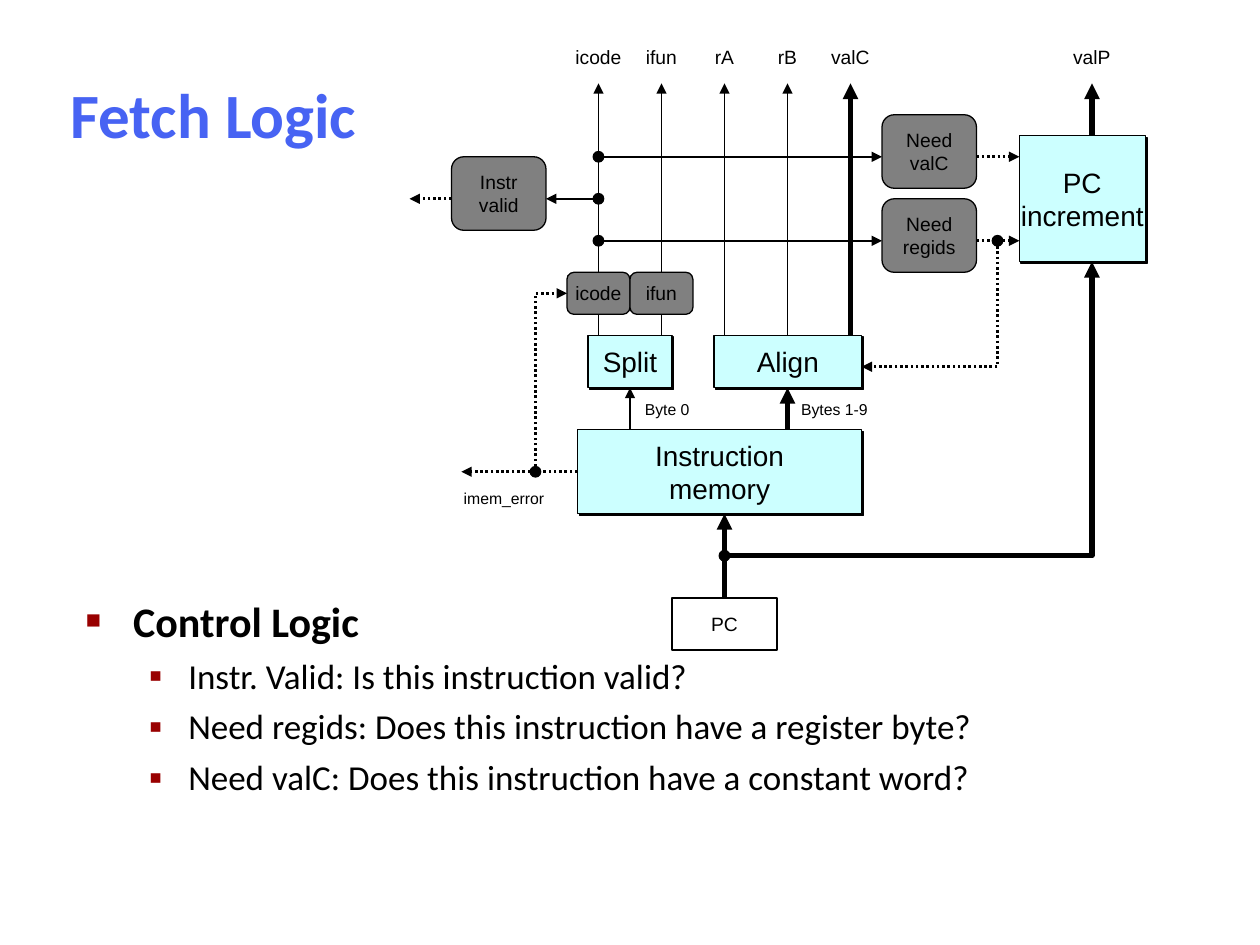
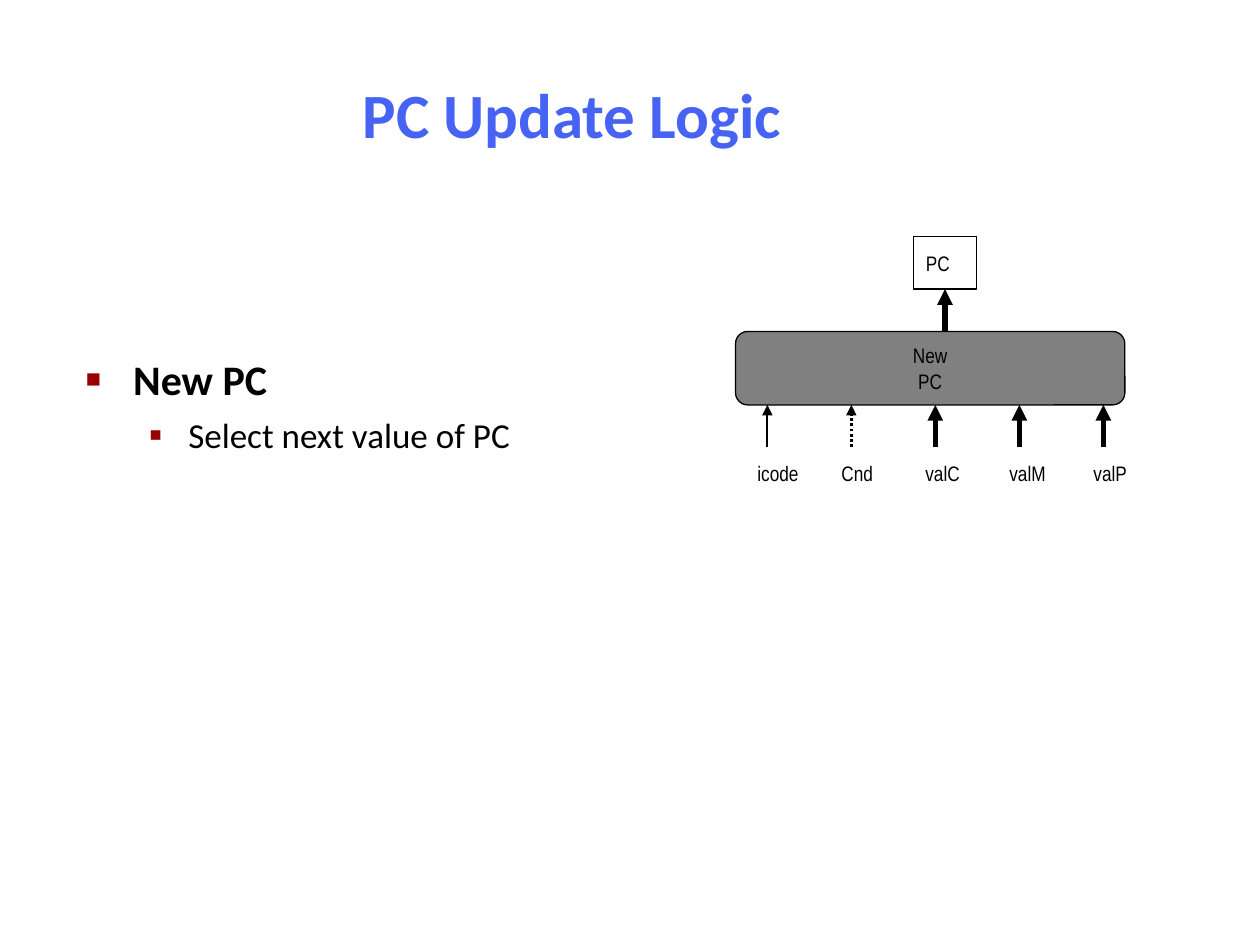
from lxml import etree
from pptx import Presentation
from pptx.dml.color import RGBColor
from pptx.enum.dml import MSO_LINE
from pptx.enum.shapes import MSO_CONNECTOR, MSO_SHAPE
from pptx.enum.text import MSO_ANCHOR, PP_ALIGN
from pptx.oxml.ns import qn
from pptx.util import Pt

RECT, ROUNDED, OVAL = MSO_SHAPE.RECTANGLE, MSO_SHAPE.ROUNDED_RECTANGLE, MSO_SHAPE.OVAL
STRAIGHT = MSO_CONNECTOR.STRAIGHT
DOTTED = MSO_LINE.ROUND_DOT
LEFT, CENTER = PP_ALIGN.LEFT, PP_ALIGN.CENTER
TOP, MIDDLE = MSO_ANCHOR.TOP, MSO_ANCHOR.MIDDLE

BLUE, RED, BLACK, WHITE = "4763F3", "990000", "000000", "FFFFFF"
UNIT_FILL, LOGIC_FILL = "CCFFFF", "808080"
THIN, SIGNAL, THICK = 1, 1.5, 3

TITLE = {"name": "Calibri", "size": Pt(36), "bold": True}
UNIT = {"name": "Arial", "size": Pt(16)}
LABEL = {"name": "Arial", "size": Pt(11)}
SMALL = {"name": "Arial", "size": Pt(9)}
NARROW = {"name": "Arial Narrow", "size": Pt(12)}
BULLETS = [
    {"char": "■", "scale": 60, "margin": 27, "hanging": 27, "before": 6,
     "font": {"name": "Calibri", "size": Pt(24), "bold": True}},
    {"char": "▪", "scale": 110, "margin": 58.5, "hanging": 22.5, "before": 5,
     "font": {"name": "Calibri", "size": Pt(20), "bold": False}},
]


def rgb(value):
    return RGBColor.from_string(value)


def add_xml(parent, tag, **attributes):
    values = {key: str(value) for key, value in attributes.items()}
    return etree.SubElement(parent, qn(tag), values)


def style_font(font, style, color=BLACK):
    for key, value in style.items():
        setattr(font, key, value)
    font.color.rgb = rgb(color)


def write(shape, lines, style, align=CENTER, anchor=MIDDLE, wrap=False, color=BLACK):
    frame = shape.text_frame
    frame.word_wrap = wrap
    frame.vertical_anchor = anchor
    for number, line in enumerate(lines):
        para = frame.add_paragraph() if number else frame.paragraphs[0]
        para.alignment = align
        para.text = line
        style_font(para.runs[0].font, style, color)


def add_text(page, area, lines, style, **layout):
    box = page.shapes.add_textbox(*map(Pt, area))
    write(box, lines, style, **layout)


def add_box(page, kind, area, lines=(), style=LABEL, fill=None, border=0.75, align=CENTER):
    box = page.shapes.add_shape(kind, *map(Pt, area))
    box.shadow.inherit = False
    if fill:
        box.fill.solid()
        box.fill.fore_color.rgb = rgb(fill)
    else:
        box.fill.background()
    if border:
        box.line.color.rgb = rgb(BLACK)
        box.line.width = Pt(border)
    else:
        box.line.fill.background()
    if lines:
        write(box, lines, style, align)
    return box


def add_unit(page, area, lines):
    """Hardware unit: pale box with a hard black shadow."""
    box = add_box(page, RECT, area, lines, UNIT, UNIT_FILL)
    effects = box.element.spPr.find(qn("a:effectLst"))
    shadow = add_xml(effects, "a:outerShdw", blurRad=0, dist=Pt(1.4), dir=45 * 60000,
                     algn="ctr", rotWithShape=0)
    add_xml(shadow, "a:srgbClr", val=BLACK)


def add_logic(page, area, lines, style=LABEL):
    add_box(page, ROUNDED, area, lines, style, LOGIC_FILL)


def add_label(page, area, text, style=LABEL, **layout):
    add_box(page, OVAL, area, [text], style, border=0, **layout)


def add_dot(page, x, y):
    add_box(page, OVAL, (x - 3, y - 3, 6, 6), fill=BLACK)


def add_wire(page, points, width=THIN, dash=None):
    """Arrow through the points: a connector, or an open outline if it bends."""
    points = [(Pt(x), Pt(y)) for x, y in points]
    if len(points) == 2:
        wire = page.shapes.add_connector(STRAIGHT, *points[0], *points[1])
    else:
        builder = page.shapes.build_freeform(*points[0], scale=1.0)
        builder.add_line_segments(points[1:], close=False)
        wire = builder.convert_to_shape()
        wire.fill.background()
    wire.line.color.rgb = rgb(BLACK)
    wire.line.width = Pt(width)
    if dash:
        wire.line.dash_style = dash
    properties = wire.element.spPr
    add_xml(properties.find(qn("a:ln")), "a:tailEnd", type="triangle")
    add_xml(properties, "a:effectLst")


def add_title(page, width, text):
    add_text(page, (28, 34.5, width, 60), [text], TITLE, wrap=True, color=BLUE)


def add_outline(page, area, heading, items=()):
    box = page.shapes.add_textbox(*map(Pt, area))
    frame = box.text_frame
    frame.word_wrap = True
    frame.vertical_anchor = TOP
    entries = [(heading, 0)] + [(item, 1) for item in items]
    for number, (text, level) in enumerate(entries):
        bullet = BULLETS[level]
        para = frame.add_paragraph() if number else frame.paragraphs[0]
        para.level = level
        if number:
            para.space_before = Pt(bullet["before"])
        properties = para._p.get_or_add_pPr()
        properties.set("marL", str(Pt(bullet["margin"])))
        properties.set("indent", str(-Pt(bullet["hanging"])))
        add_xml(add_xml(properties, "a:buClr"), "a:srgbClr", val=RED)
        add_xml(properties, "a:buSzPct", val=bullet["scale"] * 1000)
        add_xml(properties, "a:buFont", typeface="Arial")
        add_xml(properties, "a:buChar", char=bullet["char"])
        para.text = text
        style_font(para.runs[0].font, bullet["font"])


def draw_fetch_logic(page):
    add_title(page, 188, "Fetch Logic")
    add_outline(page, (42, 336.5, 612.5, 144), "Control Logic", [
        "Instr. Valid: Is this instruction valid?",
        "Need regids: Does this instruction have a register byte?",
        "Need valC: Does this instruction have a constant word?",
    ])

    label_top, output_y, unit_top, unit_bottom = 17.6, 47.6, 191.6, 221.6
    memory_top, error_y, memory_bottom, pc_top = 245.6, 269.6, 293.6, 341.6
    need_valc_y, valid_y, need_regids_y, fields_y = 89.6, 113.6, 137.6, 167.6
    icode_x, pc_x, align_x, increment_x = 342, 414, 450, 624
    error_x, regids_x, branch_y = 306, 570, 317.6

    for column, name in enumerate(["icode", "ifun", "rA", "rB", "valC"]):
        x = icode_x + 36 * column
        add_label(page, (x - 18, label_top, 36, 30), name)
        add_wire(page, [(x, unit_top), (x, output_y)], THICK if name == "valC" else THIN)
    add_label(page, (increment_x - 18, label_top, 36, 30), "valP")

    add_wire(page, [(increment_x, 77.6), (increment_x, output_y)], THICK)
    add_wire(page, [(pc_x, pc_top), (pc_x, memory_bottom)], THICK)
    add_wire(page, [(pc_x, branch_y), (increment_x, branch_y), (increment_x, 149.6)], THICK)
    add_wire(page, [(align_x, memory_top), (align_x, unit_bottom)], THICK)
    add_wire(page, [(360, memory_top), (360, unit_bottom)])
    add_wire(page, [(icode_x, valid_y), (312, valid_y)])
    add_wire(page, [(258, valid_y), (234, valid_y)], SIGNAL, DOTTED)
    add_wire(page, [(330, error_y), (263.6, error_y)], SIGNAL, DOTTED)
    add_wire(page, [(error_x, error_y), (error_x, fields_y), (324, fields_y)], SIGNAL, DOTTED)
    add_wire(page, [(regids_x, need_regids_y), (regids_x, 209.6), (492.4, 209.6)],
             SIGNAL, DOTTED)
    for name, y in [("valC", need_valc_y), ("regids", need_regids_y)]:
        add_wire(page, [(icode_x, y), (504, y)])
        add_wire(page, [(558, y), (582.5, y)], SIGNAL, DOTTED)
        add_logic(page, (504, y - 24, 54, 42), ["Need", name])

    for y in (need_valc_y, valid_y, need_regids_y):
        add_dot(page, icode_x, y)
    add_dot(page, regids_x, need_regids_y)
    add_dot(page, error_x, error_y)
    add_dot(page, pc_x, branch_y)

    add_logic(page, (258, 89.6, 54, 42), ["Instr", "valid"])
    for column, name in enumerate(["icode", "ifun"]):
        add_logic(page, (324 + 36 * column, fields_y - 12, 36, 24), [name])
    add_unit(page, (336, unit_top, 48, 30), ["Split"])
    add_unit(page, (408, unit_top, 84.4, 30), ["Align"])
    add_unit(page, (330, memory_top, 162.4, 48), ["Instruction", "memory"])
    add_unit(page, (582.5, 77.6, 72, 72), ["PC", "increment"])
    add_box(page, RECT, (384, pc_top, 60, 30), ["PC"], fill=WHITE, border=1)
    add_label(page, (252, error_y, 72, 30), "imem_error", SMALL)
    for x, width, text in [(361.4, 40.4, "Byte 0"), (450.7, 52.6, "Bytes 1-9")]:
        add_text(page, (x, 224.6, width, 18), [text], SMALL, align=LEFT, anchor=TOP)


def draw_pc_update(page):
    add_title(page, 597.6, "PC Update Logic")
    add_outline(page, (42, 198.7, 420.5, 198.7), "New PC", ["Select next value of PC"])

    logic_top, logic_bottom, input_y = 189.4, 231.4, 255.5
    add_logic(page, (420.3, logic_top, 222.5, 42), ["New", "PC"], NARROW)
    inputs = [("icode", THIN, None), ("Cnd", SIGNAL, DOTTED), ("valC", THICK, None),
              ("valM", THICK, None), ("valP", THICK, None)]
    for column, (name, width, dash) in enumerate(inputs):
        x = 438.5 + 48 * column
        add_wire(page, [(x, input_y), (x, logic_bottom)], width, dash)
        add_label(page, (x - 18, input_y, 36, 30), name, NARROW, align=LEFT)
    add_wire(page, [(540, logic_top), (540, 165.2)], THICK)
    add_box(page, RECT, (522, 135.2, 36, 30), ["PC"], NARROW, WHITE, align=LEFT)


def main():
    deck = Presentation()
    deck.slide_width, deck.slide_height = Pt(720), Pt(540)
    for draw in (draw_fetch_logic, draw_pc_update):
        draw(deck.slides.add_slide(deck.slide_layouts[6]))
    deck.save("out.pptx")


if __name__ == "__main__":
    main()
